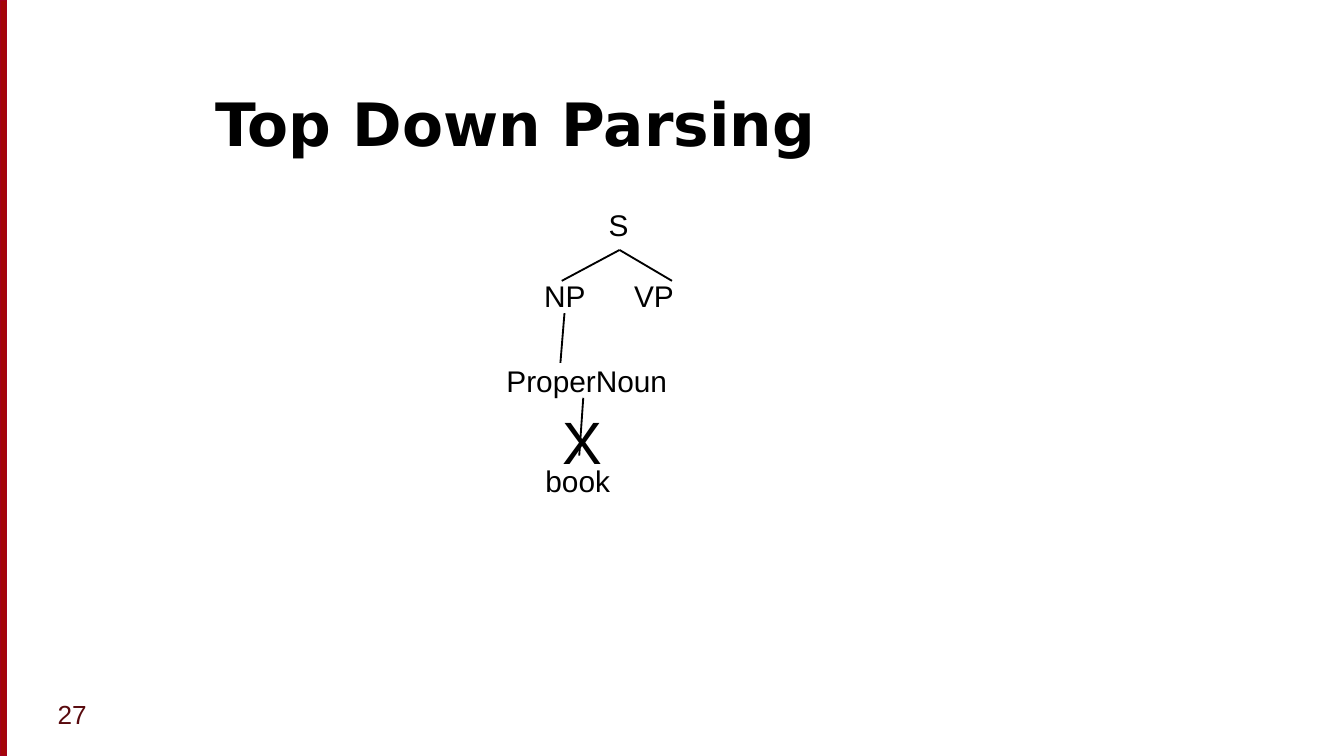
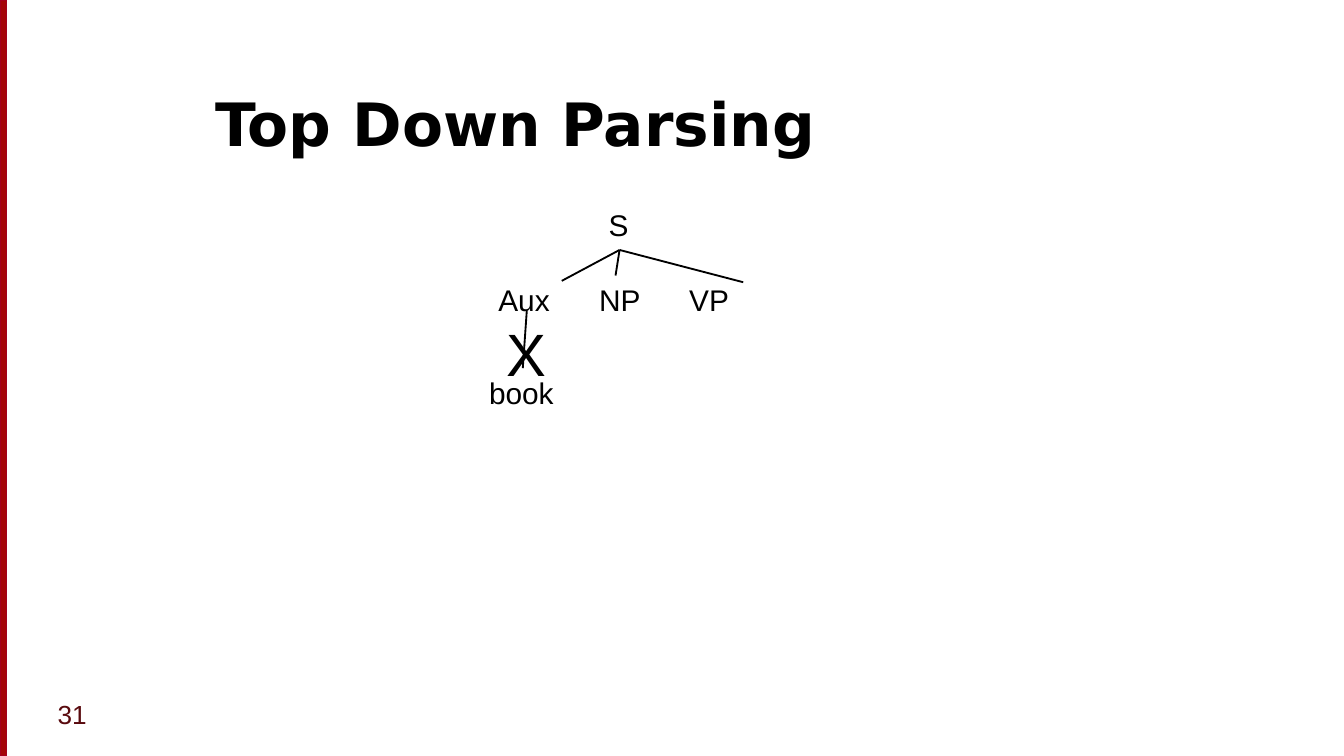
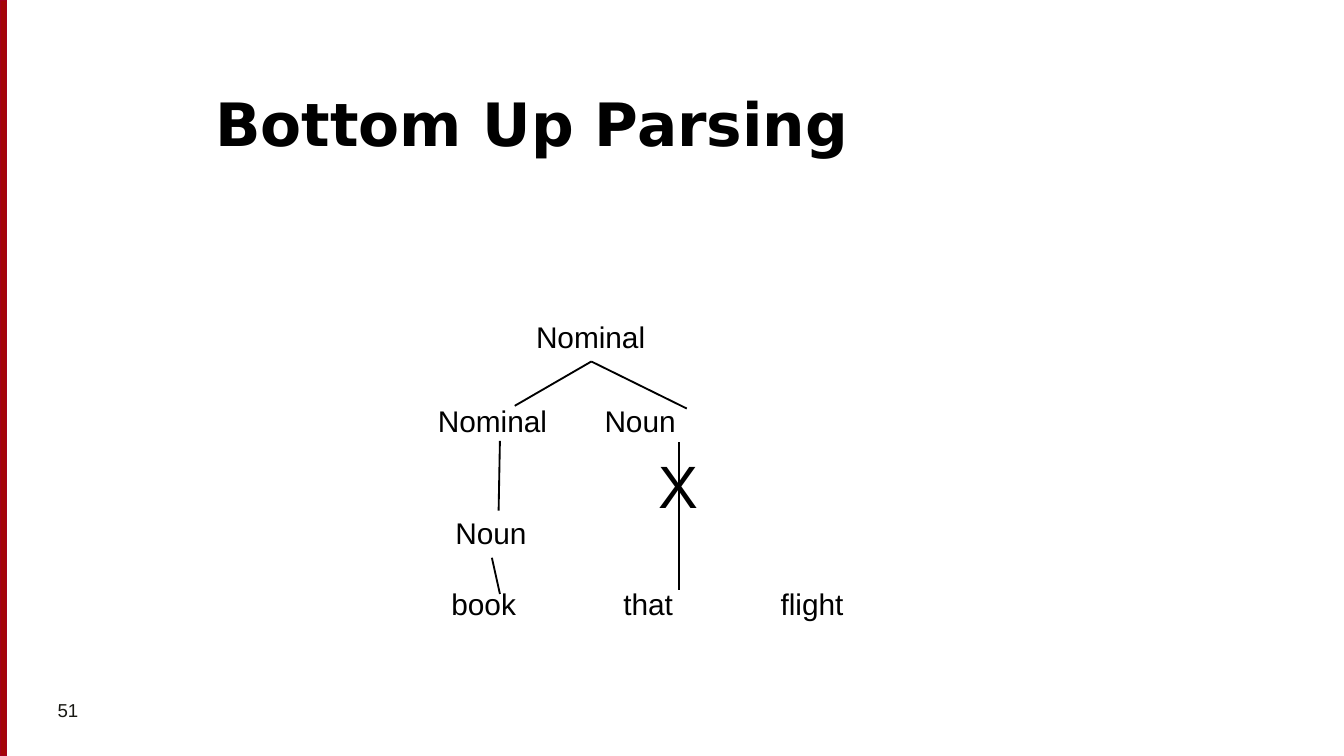
"""Builds three slides of parse trees that fail to match their input."""
from lxml.etree import SubElement
from pptx import Presentation
from pptx.dml.color import RGBColor
from pptx.enum.shapes import MSO_CONNECTOR as CONNECTOR, MSO_SHAPE as SHAPE
from pptx.enum.text import MSO_ANCHOR as ANCHOR, MSO_AUTO_SIZE as FIT, PP_ALIGN as ALIGN
from pptx.oxml.ns import qn
from pptx.util import Pt

PX = 9144
BLACK, BAND, BAND_EDGE, MAROON, DARK = "000000", "A40508", "A4001D", "590A0E", "181813"
TITLE_FONT = {"name": "DejaVu Sans", "size": Pt(32), "bold": True}
NODE_FONT = {"name": "Arial", "size": Pt(16)}
CROSS_FONT = {"name": "Arial", "size": Pt(32)}
NODE_WIDTHS = {"S": 35, "NP": 51, "VP": 50, "Aux": 58, "ProperNoun": 141, "Noun": 74,
               "Nominal": 103, "book": 71, "that": 57, "flight": 67}


def color(hex_string):
    return RGBColor.from_string(hex_string)


def write(shape, text, formats, hex_string):
    para = shape.text_frame.paragraphs[0]
    para.alignment = ALIGN.LEFT
    span = para.add_run()
    span.text = text
    for name, value in formats.items():
        setattr(span.font, name, value)
    span.font.color.rgb = color(hex_string)


pages = [
    {
        "title": "Top Down Parsing", "number": "27", "number_size": 14, "number_color": MAROON,
        "nodes": [("S", 443, 149), ("NP", 395, 202), ("VP", 462, 202),
                  ("ProperNoun", 367, 265), ("book", 396, 339)],
        "branches": [(461, 186, 418, 209), (461, 186, 500, 209),
                     (420, 233, 417, 270), (434, 296, 431, 339)],
        "cross": (409, 296),
    },
    {
        "title": "Top Down Parsing", "number": "31", "number_size": 14, "number_color": MAROON,
        "nodes": [("S", 443, 149), ("Aux", 361, 205), ("NP", 436, 205), ("VP", 503, 205),
                  ("book", 354, 274)],
        "branches": [(461, 186, 418, 209), (461, 186, 458, 205), (461, 186, 553, 210),
                     (392, 231, 389, 274)],
        "cross": (367, 231),
    },
    {
        "title": "Bottom Up Parsing", "number": "51", "number_size": 10, "number_color": DARK,
        "nodes": [("Nominal", 389, 232), ("Nominal", 316, 295), ("Noun", 440, 295),
                  ("Noun", 329, 378), ("book", 326, 431), ("that", 454, 431),
                  ("flight", 571, 431)],
        "branches": [(440, 269, 383, 302), (440, 269, 511, 304), (372, 328, 371, 380),
                     (366, 415, 372, 442), (505, 329, 505, 439)],
        "cross": (480, 329),
    },
]

deck = Presentation()
deck.slide_width = 1000 * PX
deck.slide_height = deck.slide_width * 9 // 16

for content in pages:
    page = deck.slides.add_slide(deck.slide_layouts[5])

    band = page.shapes.add_shape(SHAPE.RECTANGLE, 0, 0, 5 * PX, deck.slide_height)
    band.shadow.inherit = False
    band.fill.solid()
    band.fill.fore_color.rgb = color(BAND)
    band.line.color.rgb = color(BAND_EDGE)
    band.line.width = Pt(0.75)

    title = page.shapes.title
    for name, length in {"left": 150, "top": 42, "width": 817, "height": 81}.items():
        setattr(title, name, length * PX)
    for name, value in {"vertical_anchor": ANCHOR.BOTTOM, "auto_size": FIT.NONE}.items():
        setattr(title.text_frame, name, value)
    write(title, content["title"], TITLE_FONT, BLACK)

    for x1, y1, x2, y2 in content["branches"]:
        branch = page.shapes.add_connector(CONNECTOR.STRAIGHT, x1 * PX, y1 * PX, x2 * PX, y2 * PX)
        branch.line.color.rgb = color(BLACK)
        branch.line.width = Pt(1)
        SubElement(branch._element.spPr, qn("a:effectLst"))

    labels = [(word, left, top, NODE_WIDTHS[word], 37, NODE_FONT)
              for word, left, top in content["nodes"]]
    labels.append(("X", *content["cross"], 50, 64, CROSS_FONT))
    for word, left, top, width, height, formats in labels:
        box = page.shapes.add_textbox(left * PX, top * PX, width * PX, height * PX)
        box.text_frame.word_wrap = False
        box.text_frame.auto_size = FIT.SHAPE_TO_FIT_TEXT
        write(box, word, formats, BLACK)

    number = page.shapes.add_textbox(33 * PX, 515 * PX, 217 * PX, 38 * PX)
    number.text_frame.word_wrap = True
    number_font = {"name": "Arial", "size": Pt(content["number_size"])}
    write(number, content["number"], number_font, content["number_color"])

deck.save("out.pptx")
